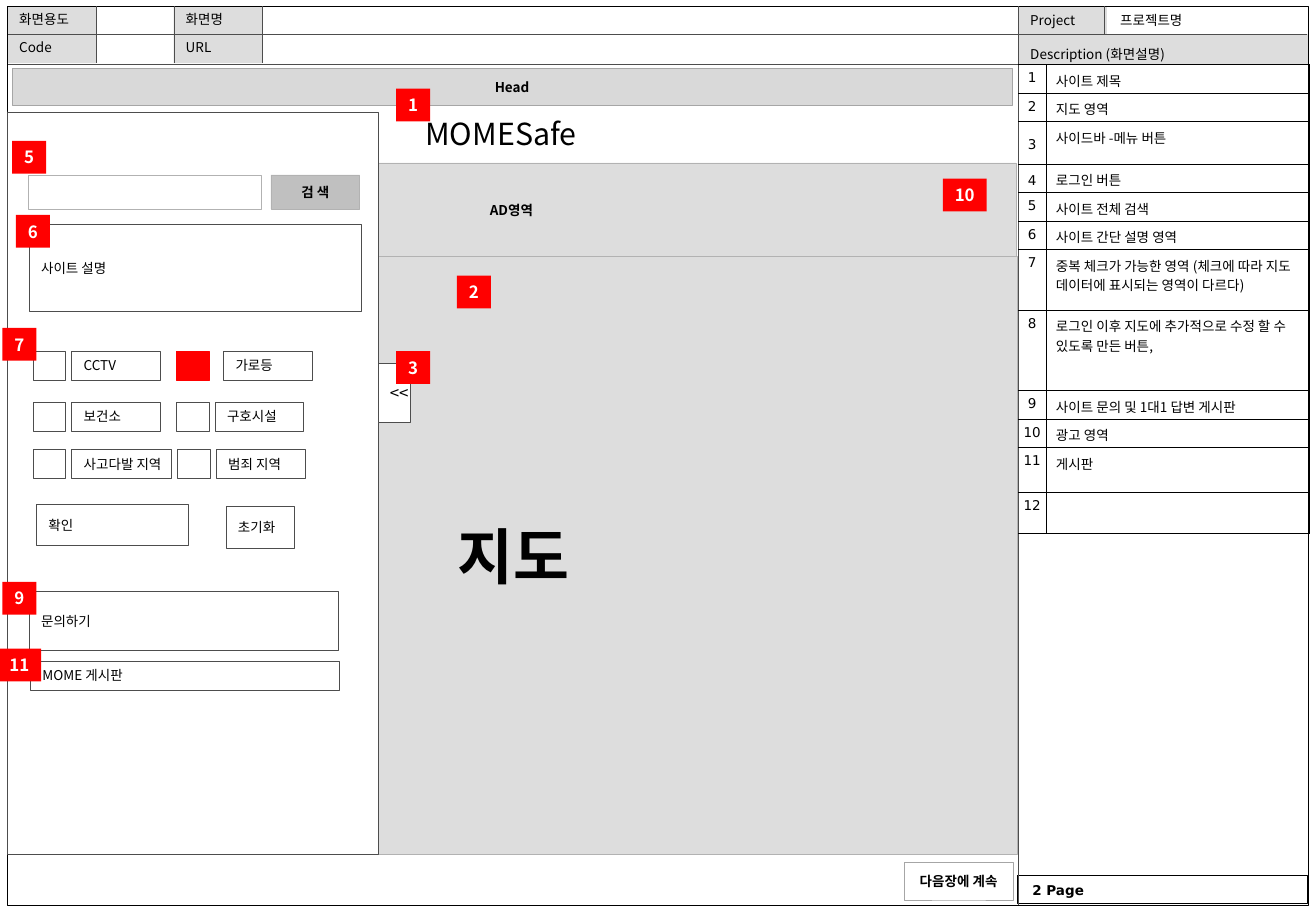
from dataclasses import dataclass

from lxml import etree
from pptx import Presentation
from pptx.dml.color import RGBColor
from pptx.enum.shapes import MSO_CONNECTOR, MSO_SHAPE
from pptx.enum.text import MSO_ANCHOR, PP_ALIGN
from pptx.oxml.ns import qn
from pptx.util import Inches, Pt

LEFT, CENTER = PP_ALIGN.LEFT, PP_ALIGN.CENTER
TOP, MIDDLE = MSO_ANCHOR.TOP, MSO_ANCHOR.MIDDLE
RECTANGLE, STRAIGHT = MSO_SHAPE.RECTANGLE, MSO_CONNECTOR.STRAIGHT


@dataclass(frozen=True)
class Theme:
    font: str = "Noto Sans CJK KR"
    digits: str = "DejaVu Sans"
    black: str = "000000"
    white: str = "FFFFFF"
    red: str = "FF0000"
    panel: str = "DDDDDD"
    head: str = "D9D9D9"
    button: str = "C0C0C0"
    dark: str = "4D4D4D"
    soft: str = "B2B2B2"
    edge: str = "A6A6A6"
    small: int = 8
    medium: int = 10
    title: int = 18
    huge: int = 36
    hairline: float = 0.25


theme = Theme()
UNIT = Inches(0.1)
COLUMNS, ROWS = 108.3, 75

deck = Presentation()
deck.slide_width, deck.slide_height = int(COLUMNS * UNIT), int(ROWS * UNIT)
page = deck.slides.add_slide(deck.slide_layouts[5])


def write(frame, text, size=theme.small, color=theme.black, bold=False, font=theme.font,
          align=LEFT, anchor=MIDDLE, wrap=False, gap=0, inset=(1, 0.5, 1, 0.5)):
    frame.word_wrap, frame.vertical_anchor = wrap, anchor
    frame.margin_left, frame.margin_top, frame.margin_right, frame.margin_bottom = [
        int(side * UNIT) for side in inset]
    for index, line in enumerate(text.split("\n")):
        para = frame.add_paragraph() if index else frame.paragraphs[0]
        para.alignment = align
        para.space_before = Pt(gap if index else 0)
        span = para.add_run()
        span.text = line
        span.font.size, span.font.bold, span.font.name = Pt(size), bold, font
        span.font.color.rgb = RGBColor.from_string(color)
        etree.SubElement(span.font._element, qn("a:ea"), typeface=font)


def box(left, top, width, height, text="", fill=theme.white, line=theme.dark, **style):
    shape = page.shapes.add_shape(
        RECTANGLE, *[int(length * UNIT) for length in (left, top, width, height)])
    shape.shadow.inherit = False
    if fill:
        shape.fill.solid()
        shape.fill.fore_color.rgb = RGBColor.from_string(fill)
    else:
        shape.fill.background()
    if line:
        shape.line.color.rgb = RGBColor.from_string(line)
        shape.line.width = Pt(theme.hairline)
    else:
        shape.line.fill.background()
    if text:
        write(shape.text_frame, text, **style)


title = page.shapes.title
title.left, title.top, title.width, title.height = [
    int(length * UNIT) for length in (34, 9, 16.8, 4)]
write(title.text_frame, "MOMESafe", size=theme.title, wrap=True)

box(83.8, 2.8, 23.9, 2.5, "Description (화면설명)", theme.panel, None, inset=(1, 1, 1, 0.2))
box(83.8, 0.5, 7.3, 2.3, "Project", theme.panel, None)
box(91.2, 0.5, 7.2, 2.3, "프로젝트명", None, None)
for left, labels in ((0.6, "화면용도\nCode"), (14.3, "화면명\nURL")):
    box(left, 0.5, 7.3, 4.7, labels, theme.panel, None, anchor=TOP, gap=6.8,
        inset=(1, 0.4, 1, 0))
box(83.7, 72.1, 23.9, 2.3, "2 Page", None, theme.black, bold=True, font=theme.digits,
    inset=(1.25, 0.5, 1, 0.5))
box(0.6, 0.5, 107.1, 74, fill=None, line=theme.black)

for left, top, right, bottom in (
        (7.9, 0.5, 7.9, 5.2), (14.3, 0.5, 14.3, 5.2), (21.6, 0.5, 21.6, 5.2),
        (90.9, 0.5, 90.9, 2.8), (83.8, 0.5, 83.8, 74.5),
        (0.7, 2.8, 107.6, 2.8), (0.7, 5.3, 107.6, 5.3)):
    rule = page.shapes.add_connector(
        STRAIGHT, *[int(length * UNIT) for length in (left, top, right, bottom)])
    rule.line.color.rgb = RGBColor.from_string(theme.dark)
    rule.line.width = Pt(theme.hairline)
    etree.SubElement(rule._element.spPr, qn("a:effectLst"))

banner = dict(bold=True, align=CENTER)
box(1, 5.6, 82.3, 3.1, "Head", theme.head, theme.edge, **banner)
box(74.4, 71, 9, 3.1, "다음장에 계속", theme.white, theme.edge, **banner)
box(0.6, 13.4, 83, 7.8, "AD영역", theme.panel, theme.soft, **banner)
box(0.8, 21.1, 82.9, 49.2, "지도", theme.panel, theme.soft, size=theme.huge, **banner)

descriptions = (
    (2.35, "사이트 제목"), (2.35, "지도 영역"), (3.5, "사이드바 -메뉴 버튼"),
    (2.35, "로그인 버튼"), (2.35, "사이트 전체 검색"), (2.35, "사이트 간단 설명 영역"),
    (5, "중복 체크가 가능한 영역 (체크에 따라 지도 데이터에 표시되는 영역이 다르다)"),
    (6.6, "로그인 이후 지도에 추가적으로 수정 할 수 있도록 만든 버튼,"),
    (2.35, "사이트 문의 및 1대1 답변 게시판"), (2.35, "광고 영역"), (3.7, "게시판"), (2.35, ""))
table = page.shapes.add_table(
    len(descriptions), 2, int(83.8 * UNIT), int(5.3 * UNIT), int(23.9 * UNIT),
    int(sum(height for height, _ in descriptions) * UNIT)).table
table.first_row = table.horz_banding = False
table.columns[0].width, table.columns[1].width = int(2.3 * UNIT), int(21.6 * UNIT)
for row, (height, description) in enumerate(descriptions):
    table.rows[row].height = int(height * UNIT)
    number, detail = table.cell(row, 0), table.cell(row, 1)
    write(number.text_frame, str(row + 1), font=theme.digits, align=CENTER, wrap=True)
    write(detail.text_frame, description, wrap=True)
    if not description:
        etree.SubElement(detail.text_frame.paragraphs[0]._p, qn("a:endParaRPr"),
                         sz=str(theme.small * 100))
    for cell, side in ((number, 0.4), (detail, 0.8)):
        cell.margin_left = cell.margin_right = int(side * UNIT)
        cell.margin_top, cell.margin_bottom = int(0.5 * UNIT), int(0.1 * UNIT)
        cell.vertical_anchor = MIDDLE if cell is number and row in (2, 3) else TOP
        properties = cell._tc.get_or_add_tcPr()
        for edge in ("lnL", "lnR", "lnT", "lnB"):
            border = etree.SubElement(properties, qn(f"a:{edge}"),
                                      w=str(Pt(theme.hairline)))
            if cell is number and edge == "lnL":
                etree.SubElement(border, qn("a:noFill"))
            else:
                paint = etree.SubElement(border, qn("a:solidFill"))
                etree.SubElement(paint, qn("a:srgbClr"), val=theme.black)
        cell.fill.background()

box(0.6, 9.2, 30.5, 61.1)

for top, filters in (
        (28.9, ((2.7, 5.9, 7.3, "CCTV"), (14.5, 18.4, 7.3, "가로등"))),
        (33.1, ((2.7, 5.9, 7.3, "보건소"), (14.5, 17.7, 7.3, "구호시설"))),
        (37, ((2.7, 5.9, 8.2, "사고다발 지역"), (14.6, 17.8, 7.3, "범죄 지역")))):
    for check_left, label_left, label_width, label in filters:
        tint = (theme.red, theme.red) if label == "가로등" else (theme.white, theme.dark)
        box(check_left, top, 2.7, 2.4, "", *tint)
        box(label_left, top, label_width, 2.4, label)

for left, top, width, height, label in (
        (2.4, 18.5, 27.3, 7.1, "사이트 설명"), (3, 41.5, 12.5, 3.4, "확인"),
        (18.6, 41.7, 5.6, 3.4, "초기화"), (2.4, 48.7, 25.4, 4.8, "문의하기"),
        (2.5, 54.4, 25.4, 2.4, "MOME 게시판")):
    box(left, top, width, height, label)
box(31.1, 29.9, 2.7, 4.9, "<<", size=theme.medium)
box(2.3, 14.4, 19.2, 2.8, line=theme.soft)
box(22.3, 14.4, 7.3, 2.8, "검 색", theme.button, theme.soft, **banner)

for number, left, top in (
        (1, 32.6, 7.3), (2, 37.6, 22.7), (3, 32.6, 28.9), (5, 1, 11.6), (6, 1.3, 17.7),
        (7, 0.2, 27), (9, 0.2, 47.9), (10, 77.6, 14.7), (11, -0.2, 53.4)):
    box(left, top, 2.8 if number < 10 else 3.6, 2.7, str(number), theme.red, None,
        size=theme.medium, color=theme.white, **banner)

deck.save("out.pptx")
